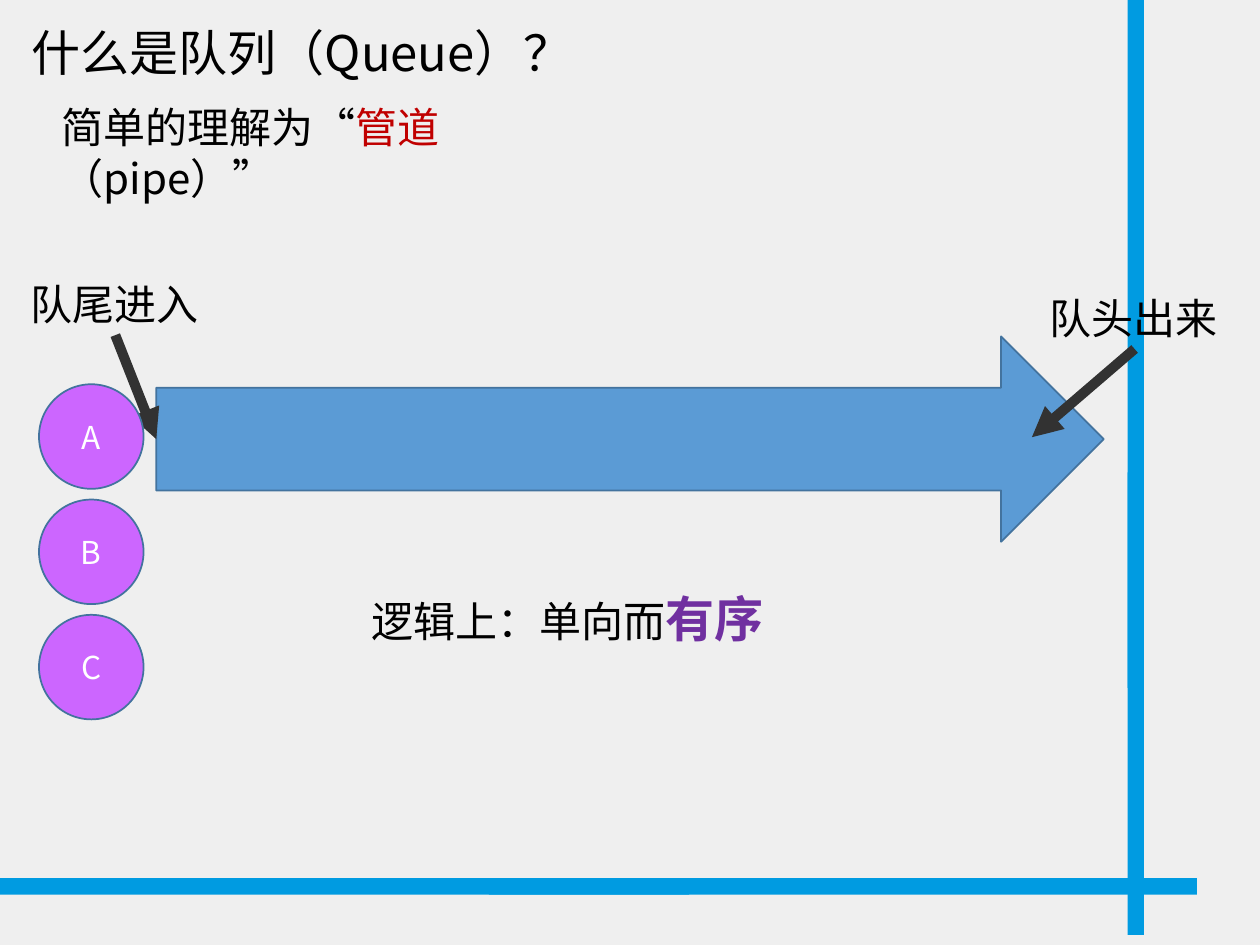
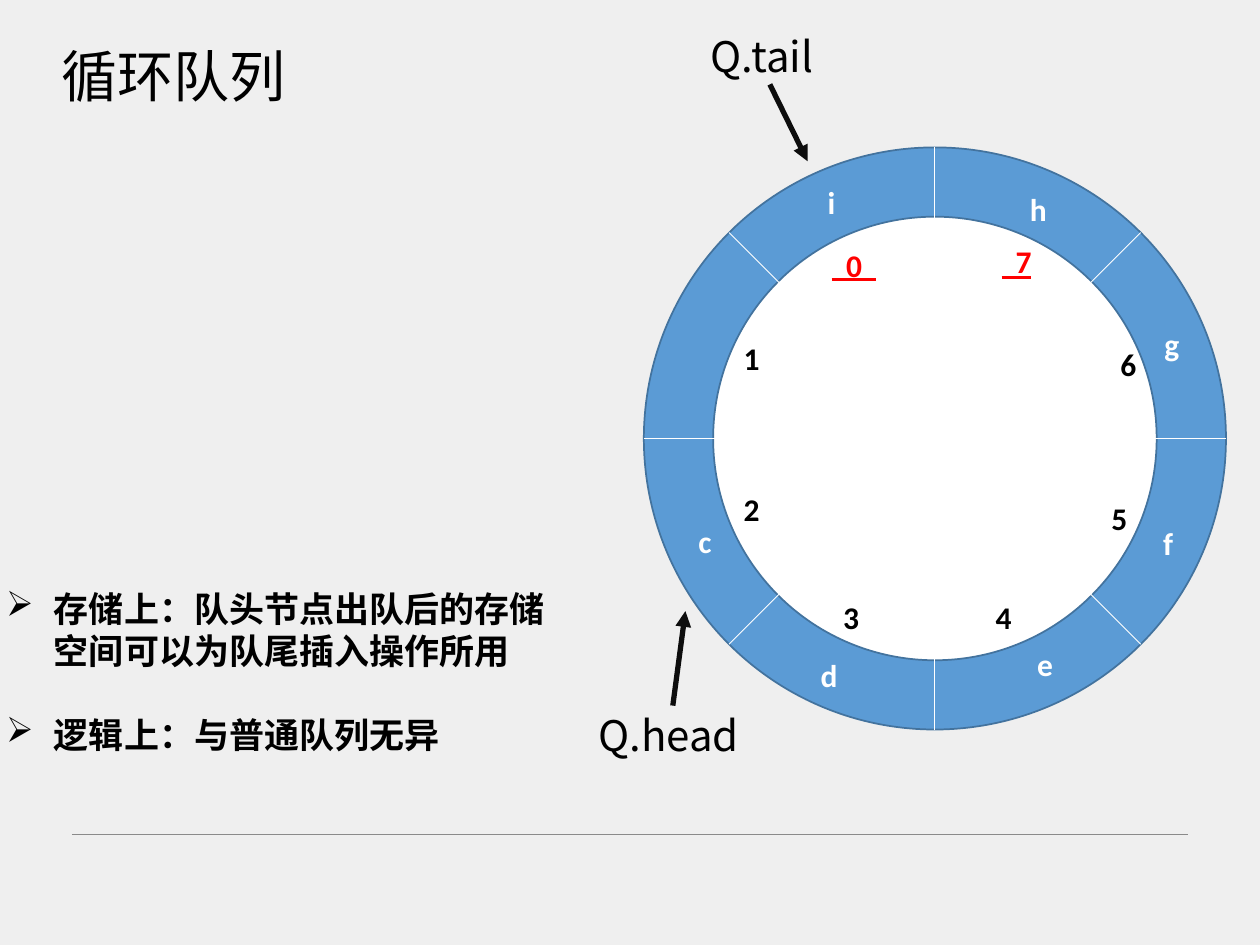
import dataclasses
import math
import typing

import lxml.etree
import pptx
import pptx.dml.color
import pptx.enum.shapes
import pptx.enum.text
import pptx.oxml.ns
import pptx.util

Inches = pptx.util.Inches
SHAPE = pptx.enum.shapes.MSO_SHAPE
ALIGN = pptx.enum.text.PP_ALIGN
qn = pptx.oxml.ns.qn


@dataclasses.dataclass(frozen=True)
class Theme:
    back: str = "EFEFEF"
    band: str = "009BE1"
    blue: str = "5B9BD5"
    edge: str = "43739E"
    node: str = "CC66FF"
    black: str = "000000"
    white: str = "FFFFFF"
    red: str = "C00000"
    mark: str = "FF0000"
    purple: str = "7030A0"
    dark: str = "323232"
    ink: str = "0D0D0D"
    gray: str = "8A8A8A"
    noto: str = "Noto Sans CJK SC"
    latin: str = "Calibri"
    huge: int = 32
    big: int = 28
    mid: int = 24
    list: int = 20
    small: int = 18


T = Theme()


@dataclasses.dataclass(frozen=True)
class Box:
    left: float
    top: float
    width: float
    height: float


@dataclasses.dataclass(frozen=True)
class Run:
    text: str
    size: int = T.mid
    color: str = T.black
    bold: bool = False
    font: str = T.noto


@dataclasses.dataclass(frozen=True)
class Label:
    box: Box
    runs: tuple[Run, ...]


class Point(typing.NamedTuple):
    x: float
    y: float


class Cell(typing.NamedTuple):
    text: str
    left: float
    top: float
    width: float = 0.33
    color: str = T.black


class Rule(typing.NamedTuple):
    start: Point
    end: Point
    color: str
    width: float


BANDS = (
    Box(8.95, -0.23, 0.13, 5.69),
    Box(8.95, 3.75, 0.13, 3.67),
    Box(-0.22, 6.97, 5.69, 0.13),
    Box(3.88, 6.97, 5.62, 0.13),
)
PIPE = Box(1.24, 2.67, 7.52, 1.63)
NOTES = (
    Label(Box(0.39, 0.76, 4.34, 0.5),
          (Run("简单的理解为“"), Run("管道", color=T.red), Run("（pipe）”"))),
    Label(Box(0.15, 0.13, 4.85, 0.57), (Run("什么是队列（Queue）？", T.big),)),
    Label(Box(2.85, 4.62, 3.34, 0.57),
          (Run("逻辑上：单向", font=T.latin), Run("而"),
           Run("有序", T.big, T.purple, True))),
)
ENTRY = Label(Box(0.14, 2.16, 1.55, 0.5), (Run("队尾进入", font=T.latin),))
EXIT = Label(Box(8.23, 2.27, 1.55, 0.5), (Run("队头出来", font=T.latin),))

TITLE = Label(Box(0.39, 0.28, 2, 0.64), (Run("循环队列", T.huge),))
ENDS = (
    Label(Box(4.65, 5.58, 1.67, 0.5), (Run("Q.head"),)),
    Label(Box(5.54, 0.19, 1.38, 0.5), (Run("Q.tail"),)),
)
POINTS = ("存储上：队头节点出队后的存储空间可以为队尾插入操作所用",
          "逻辑上：与普通队列无异")
HUB = Point(7.42, 3.48)
OUTER = 2.31
INNER = 1.76
CELLS = (
    Cell("0", 6.5, 1.9, 0.56, T.mark),
    Cell("1", 5.8, 2.64),
    Cell("2", 5.8, 3.84),
    Cell("3", 6.59, 4.7),
    Cell("4", 7.8, 4.7),
    Cell("5", 8.72, 3.91),
    Cell("6", 8.79, 2.69),
    Cell("7", 7.96, 1.87, color=T.mark),
    Cell("c", 5.44, 4.09, 0.31, T.white),
    Cell("d", 6.41, 5.16, 0.34, T.white),
    Cell("e", 8.13, 5.07, 0.33, T.white),
    Cell("f", 9.13, 4.11, 0.28, T.white),
    Cell("g", 9.14, 2.53, 0.32, T.white),
    Cell("h", 8.07, 1.46, 0.34, T.white),
    Cell("i", 6.47, 1.4, 0.26, T.white),
)
RULES = (
    Rule(Point(6.6, 2.22), Point(6.95, 2.22), T.mark, 1.75),
    Rule(Point(7.95, 2.2), Point(8.18, 2.2), T.mark, 1.75),
    Rule(Point(0.57, 6.62), Point(9.43, 6.62), T.gray, 0.5),
)
ARROWS = (
    Rule(Point(5.34, 5.6), Point(5.44, 4.85), T.ink, 3),
    Rule(Point(6.11, 0.67), Point(6.41, 1.28), T.ink, 3),
)


def tint(code: str):
    return pptx.dml.color.RGBColor.from_string(code)


def frame(box: Box):
    return [Inches(n) for n in (box.left, box.top, box.width, box.height)]


def style(run, spec: Run) -> None:
    run.font.size = pptx.util.Pt(spec.size)
    run.font.bold = spec.bold
    run.font.name = spec.font
    run.font.color.rgb = tint(spec.color)
    face = lxml.etree.Element(qn("a:ea"), typeface=T.noto)
    run._r.rPr.find(qn("a:latin")).addnext(face)


def fill(para, runs: tuple[Run, ...]) -> None:
    for spec in runs:
        run = para.add_run()
        run.text = spec.text
        style(run, spec)


def write(slide, label: Label, align=ALIGN.LEFT):
    shape = slide.shapes.add_textbox(*frame(label.box))
    shape.text_frame.word_wrap = True
    para = shape.text_frame.paragraphs[0]
    para.alignment = align
    fill(para, label.runs)
    return shape


def draw(slide, kind, box: Box, color: str, edge: str | None = None):
    shape = slide.shapes.add_shape(kind, *frame(box))
    shape.shadow.inherit = False
    shape.fill.solid()
    shape.fill.fore_color.rgb = tint(color)
    if edge:
        shape.line.color.rgb = tint(edge)
        shape.line.width = pptx.util.Pt(1)
    else:
        shape.line.fill.background()
    return shape


def link(slide, rule: Rule, arrow: bool = False):
    line = slide.shapes.add_connector(
        pptx.enum.shapes.MSO_CONNECTOR.STRAIGHT,
        *[Inches(n) for n in (*rule.start, *rule.end)])
    line.line.color.rgb = tint(rule.color)
    line.line.width = pptx.util.Pt(rule.width)
    if arrow:
        lxml.etree.SubElement(line.line._ln, qn("a:tailEnd"), type="triangle")
    lxml.etree.SubElement(line._element.spPr, qn("a:effectLst"))
    return line


def start(deck):
    slide = deck.slides.add_slide(deck.slide_layouts[6])
    slide.background.fill.solid()
    slide.background.fill.fore_color.rgb = tint(T.back)
    return slide


def queue(deck) -> None:
    slide = start(deck)
    for band in BANDS:
        draw(slide, SHAPE.RECTANGLE, band, T.band)
    pipe = draw(slide, SHAPE.RIGHT_ARROW, PIPE, T.blue, T.edge)
    for note in NOTES:
        write(slide, note)
    entry, exit_box = write(slide, ENTRY), write(slide, EXIT)
    out = link(slide, Rule(Point(9.01, 2.77), Point(8.19, 3.47), T.dark, 5.75), True)
    out.begin_connect(exit_box, 2)
    into = link(slide, Rule(Point(0.91, 2.67), Point(1.24, 3.48), T.dark, 5.75), True)
    into.begin_connect(entry, 2)
    into.end_connect(pipe, 1)
    for row, name in enumerate("ABC"):
        node = draw(slide, SHAPE.OVAL, Box(0.31, 3.05 + row * 0.915, 0.83, 0.83),
                    T.node, T.edge)
        node.text_frame.vertical_anchor = pptx.enum.text.MSO_ANCHOR.MIDDLE
        para = node.text_frame.paragraphs[0]
        para.alignment = ALIGN.CENTER
        fill(para, (Run(name, T.small, T.white),))


def bullets(slide) -> None:
    shape = slide.shapes.add_textbox(*frame(Box(-0.05, 4.61, 4.61, 1.45)))
    text = shape.text_frame
    text.word_wrap = True
    text.text = "\n".join(POINTS)
    for row, para in enumerate(text.paragraphs):
        para.space_before = pptx.util.Pt(24 * row)
        props = para._p.get_or_add_pPr()
        props.set("marL", str(Inches(0.38)))
        props.set("indent", str(-Inches(0.38)))
        lxml.etree.SubElement(props, qn("a:buChar"), char="➢")
        style(para.runs[0], Run("", T.list, bold=True))


def ring(slide) -> None:
    for size, color in ((OUTER, T.blue), (INNER, T.white)):
        box = Box(HUB.x - size, HUB.y - size, 2 * size, 2 * size)
        draw(slide, SHAPE.OVAL, box, color, T.edge)
    for step in range(4):
        dx = OUTER * math.cos(step * math.pi / 4)
        dy = OUTER * math.sin(step * math.pi / 4)
        link(slide, Rule(Point(HUB.x - dx, HUB.y - dy),
                         Point(HUB.x + dx, HUB.y + dy), T.white, 0.5))
    for cell in CELLS:
        run = Run(cell.text, T.small, cell.color, True, T.latin)
        write(slide, Label(Box(cell.left, cell.top, cell.width, 0.4), (run,)),
              ALIGN.CENTER)


def circle(deck) -> None:
    slide = start(deck)
    write(slide, TITLE)
    bullets(slide)
    for label in ENDS:
        write(slide, label)
    ring(slide)
    for rule in RULES:
        link(slide, rule)
    for rule in ARROWS:
        link(slide, rule, True)


def main() -> None:
    deck = pptx.Presentation()
    deck.slide_width, deck.slide_height = Inches(10), Inches(7.5)
    queue(deck)
    circle(deck)
    deck.save("out.pptx")


if __name__ == "__main__":
    main()
